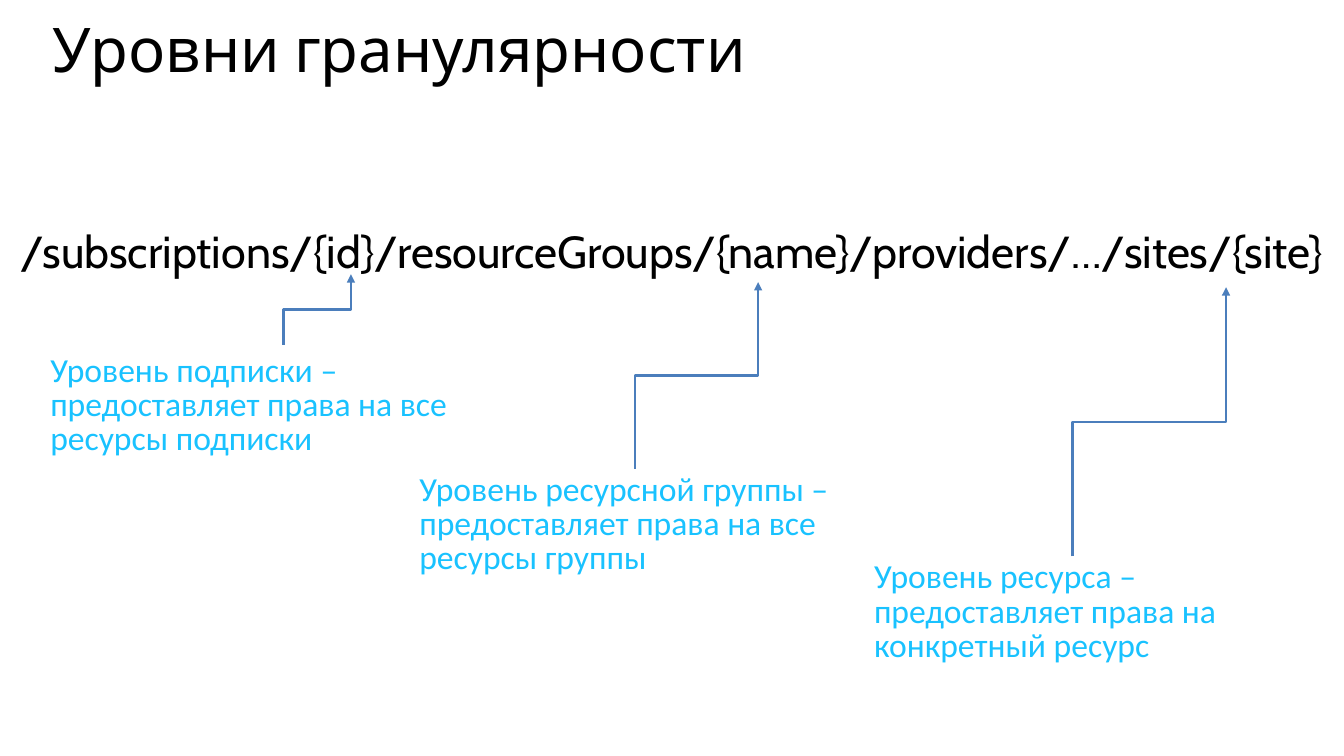
import dataclasses

import lxml.etree
import pptx
import pptx.dml.color
import pptx.enum.shapes
import pptx.enum.text
import pptx.oxml.ns
import pptx.util


@dataclasses.dataclass(frozen=True)
class Theme:
    ink: str = "000000"
    accent: str = "19C2FF"
    arrow: str = "4B7EBC"
    heading_font: str = "Cabin"
    note_font: str = "Calibri"
    title_size: float = 44
    route_size: float = 32
    note_size: float = 24
    arrow_width: float = 1.75


class SlideBuilder:
    def __init__(self, deck, theme):
        self.deck = deck
        self.theme = theme
        self.page = deck.slides.add_slide(deck.slide_layouts[6])

    def across(self, percent):
        return round(self.deck.slide_width * percent / 100)

    def down(self, percent):
        return round(self.deck.slide_height * percent / 100)

    def text(self, frame, words, font, size, color, spacing=1.0, centred=False):
        left, top, width, height = frame
        box = self.page.shapes.add_textbox(
            self.across(left), self.down(top), self.across(width), self.down(height)
        )
        box.text_frame.word_wrap = True
        box.text_frame.text = words
        para = box.text_frame.paragraphs[0]
        para.line_spacing = spacing
        if centred:
            para.alignment = pptx.enum.text.PP_ALIGN.CENTER
        span = para.runs[0]
        span.font.name = font
        span.font.size = pptx.util.Pt(size)
        span.font.color.rgb = pptx.dml.color.RGBColor.from_string(color)
        return para

    def title(self, frame, words):
        theme = self.theme
        self.text(frame, words, theme.heading_font, theme.title_size, theme.ink, 0.8)

    def route(self, frame, words):
        theme = self.theme
        self.text(
            frame, words, theme.heading_font, theme.route_size, theme.ink, centred=True
        )

    def note(self, frame, words):
        theme = self.theme
        para = self.text(
            frame, words, theme.note_font, theme.note_size, theme.accent, 0.85
        )
        para._p.get_or_add_pPr().set("marL", str(pptx.util.Inches(0.1)))

    def rising_arrow(self, start, tip):
        start_x, tip_x = self.across(start[0]), self.across(tip[0])
        start_y, tip_y = self.down(start[1]), self.down(tip[1])
        middle_x, middle_y = (start_x + tip_x) // 2, (start_y + tip_y) // 2
        half_rise, half_run = (start_y - tip_y) // 2, (tip_x - start_x) // 2
        arrow = self.page.shapes.add_connector(
            pptx.enum.shapes.MSO_CONNECTOR.ELBOW,
            middle_x + half_rise,
            middle_y + half_run,
            middle_x - half_rise,
            middle_y - half_run,
        )
        arrow.line.color.rgb = pptx.dml.color.RGBColor.from_string(self.theme.arrow)
        arrow.line.width = pptx.util.Pt(self.theme.arrow_width)
        properties = arrow._element.spPr
        properties.xfrm.set("rot", str(90 * 60000))
        qualified = pptx.oxml.ns.qn
        outline = properties.find(qualified("a:ln"))
        lxml.etree.SubElement(outline, qualified("a:tailEnd"), type="triangle")
        lxml.etree.SubElement(properties, qualified("a:effectLst"))


LEVELS = [
    (
        "Уровень подписки – предоставляет права на все ресурсы подписки",
        (2.25, 46.27, 32.48),
        (21.08, 45.6),
        (26.11, 36.27),
    ),
    (
        "Уровень ресурсной группы – предоставляет права на все ресурсы группы",
        (29.71, 62, 35.03),
        (47.24, 62),
        (56.41, 37.33),
    ),
    (
        "Уровень ресурса – предоставляет права на конкретный ресурс",
        (63.54, 73.6, 32.48),
        (79.8, 73.6),
        (91.22, 38),
    ),
]
NOTE_HEIGHT = 16.4


def main():
    deck = pptx.Presentation()
    deck.slide_width = pptx.util.Inches(13.33)
    deck.slide_height = pptx.util.Inches(7.5)
    builder = SlideBuilder(deck, Theme())
    builder.title((3.15, 2.67, 94.5, 15.47), "Уровни гранулярности")
    builder.route(
        (0, 28.93, 100, 9.07),
        "/subscriptions/{id}/resourceGroups/{name}/providers/…/sites/{site}",
    )
    for words, corner_and_width, start, tip in LEVELS:
        builder.note((*corner_and_width, NOTE_HEIGHT), words)
        builder.rising_arrow(start, tip)
    deck.save("out.pptx")


if __name__ == "__main__":
    main()
